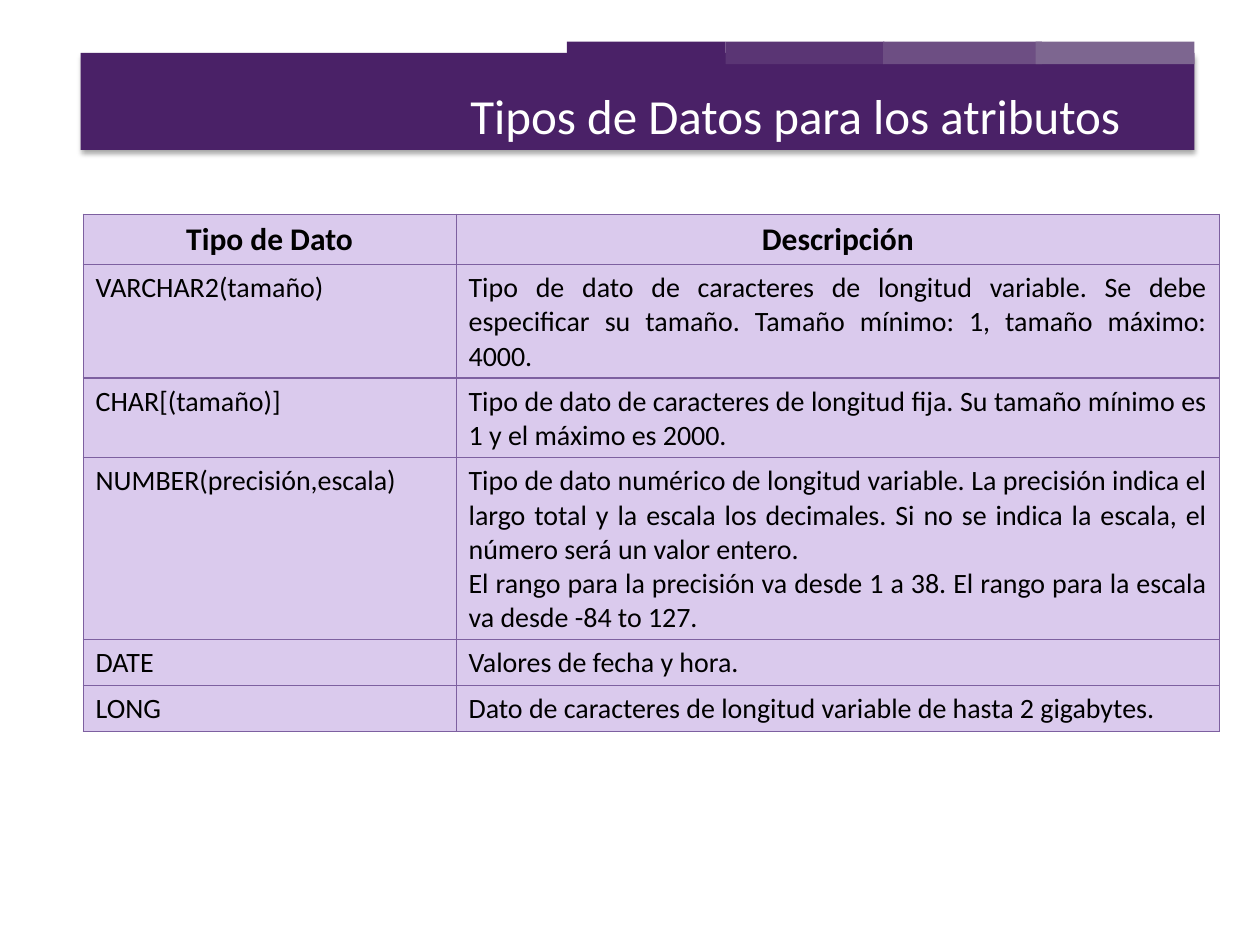
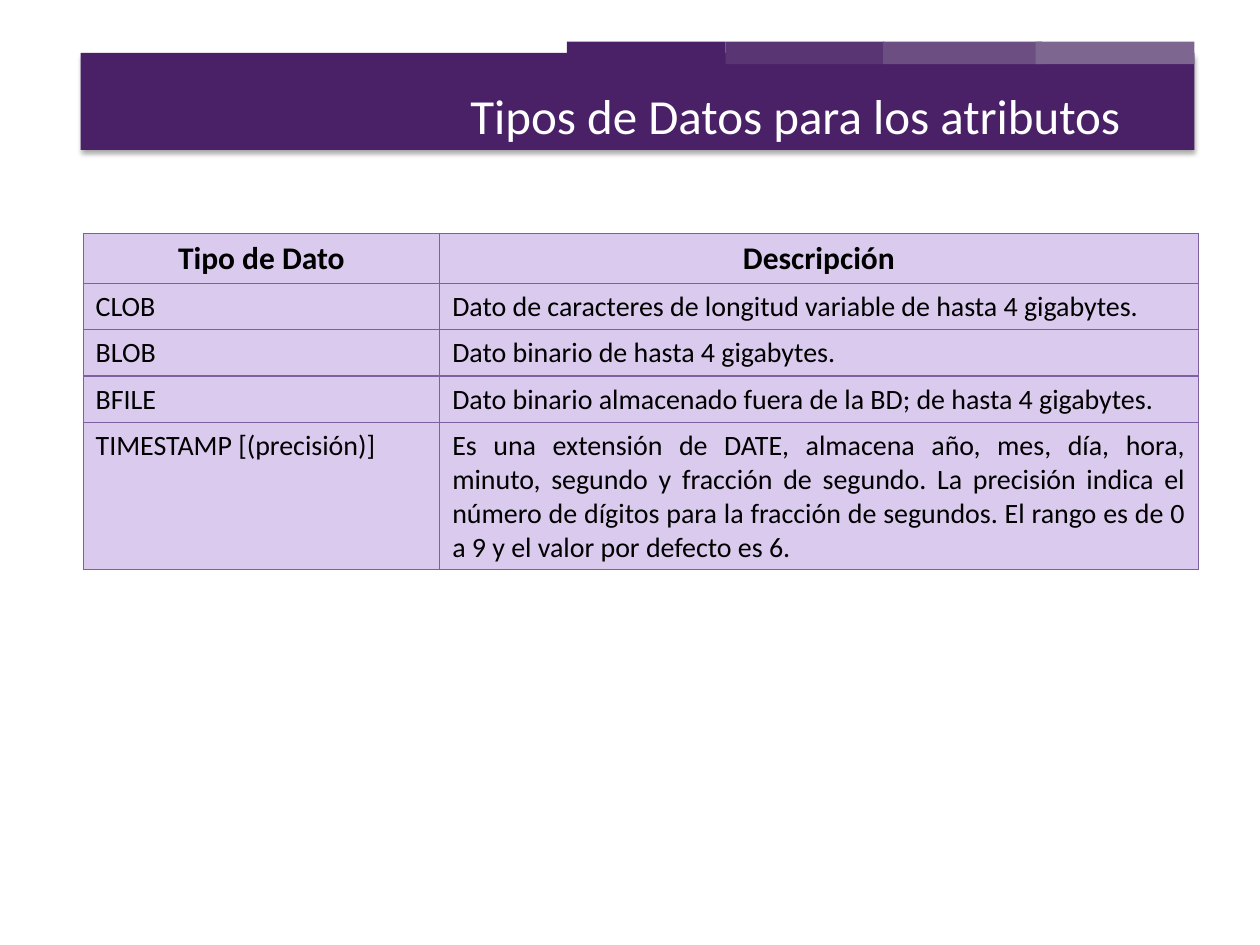
from lxml import etree
from pptx import Presentation
from pptx.dml.color import RGBColor
from pptx.enum.shapes import MSO_SHAPE
from pptx.enum.text import MSO_ANCHOR, MSO_AUTO_SIZE, PP_ALIGN
from pptx.oxml import parse_xml
from pptx.oxml.ns import nsdecls, qn
from pptx.util import Inches, Pt

RECT = MSO_SHAPE.RECTANGLE
LEFT, CENTER, RIGHT, JUSTIFY = PP_ALIGN.LEFT, PP_ALIGN.CENTER, PP_ALIGN.RIGHT, PP_ALIGN.JUSTIFY
TOP, MIDDLE = MSO_ANCHOR.TOP, MSO_ANCHOR.MIDDLE
GROW = MSO_AUTO_SIZE.SHAPE_TO_FIT_TEXT

# Content: each row holds type, description paragraphs, text lines
TITLE = "Tipos de Datos para los atributos"
HEADER = ("Tipo de Dato", "Descripción")
SLIDES = [
    {"at": (0.66, 1.7), "cols": (2.96, 6.06), "rows": [
        ("VARCHAR2(tamaño)", ["Tipo de dato de caracteres de longitud variable. Se debe "
         "especificar su tamaño. Tamaño mínimo: 1, tamaño máximo: 4000."], 3),
        ("CHAR[(tamaño)]", ["Tipo de dato de caracteres de longitud fija. Su tamaño mínimo es "
         "1 y el máximo es 2000."], 2),
        ("NUMBER(precisión,escala)", [
            "Tipo de dato numérico de longitud variable. La precisión indica el largo total y la "
            "escala los decimales. Si no se indica la escala, el número será un valor entero.",
            "El rango para la precisión va desde 1 a 38. El rango para la escala va desde "
            "-84 to 127."], 5),
        ("DATE", ["Valores de fecha y hora."], 1),
        ("LONG", ["Dato de caracteres de longitud variable de hasta 2 gigabytes."], 1),
    ]},
    {"at": (0.66, 1.85), "cols": (2.83, 6.02), "rows": [
        ("CLOB", ["Dato de caracteres de longitud variable de hasta 4 gigabytes."], 1),
        ("BLOB", ["Dato binario de hasta 4 gigabytes."], 1),
        ("BFILE", ["Dato binario almacenado fuera de la BD; de hasta 4 gigabytes."], 1),
        ("TIMESTAMP [(precisión)]", [
            "Es una extensión de DATE, almacena año, mes, día, hora, minuto, segundo y fracción "
            "de segundo. La precisión indica el número de dígitos para la fracción de segundos. "
            "El rango es de 0 a 9 y el valor por defecto es 6."], 4),
    ]},
]

# Shared look
COLORS = {"band": "4A2167", "cell": "DACAED", "border": "7D60A0", "text": "000000",
          "title": "FFFFFF", "shadow": "000000"}
TABS = [(4.5, "4A2167"), (5.76, "5A3574"), (7.01, "6D4E83"), (8.22, "7D6690")]
BAND_AT, TAB_TOP, TAB_SIZE = (0.64, 0.42, 8.84, 0.77), 0.33, (1.26, 0.18)
TITLE_AT = (3.39, 0.63, 5.6, 0.57)
HEADER_H, LINE_H, ROW_PAD = 0.4, 0.27, 0.09
TITLE_FONT = {"name": "Calibri", "size": Pt(28), "bold": False}
HEADER_FONT = {"name": "Calibri", "size": Pt(18), "bold": True}
BODY_FONT = {"name": "Calibri", "size": Pt(16), "bold": False}


def write(tf, paragraphs, font, color, align):
    for i, text in enumerate(paragraphs):
        p = tf.add_paragraph() if i else tf.paragraphs[0]
        p.alignment = align
        p.space_before = Pt(0)
        r = p.add_run()
        r.text = text
        for name, value in font.items():
            setattr(r.font, name, value)
        r.font.color.rgb = RGBColor.from_string(COLORS[color])


def add_bar(s, at, color):
    sp = s.shapes.add_shape(RECT, *map(Inches, at))
    sp.shadow.inherit = False
    sp.fill.solid()
    sp.fill.fore_color.rgb = RGBColor.from_string(color)
    sp.line.fill.background()
    return sp


def add_shadow(sp):
    effects = sp._element.spPr.find(qn("a:effectLst"))
    effects.append(parse_xml(
        f'<a:outerShdw {nsdecls("a")} blurRad="{Pt(3.1)}" dist="{Pt(1.8)}" dir="5400000" '
        f'algn="t" rotWithShape="0"><a:srgbClr val="{COLORS["shadow"]}">'
        '<a:alpha val="35000"/></a:srgbClr></a:outerShdw>'))


def add_title_band(s):
    add_shadow(add_bar(s, BAND_AT, COLORS["band"]))
    for left, color in TABS:
        add_bar(s, (left, TAB_TOP, *TAB_SIZE), color)
    title = s.shapes.title
    s.shapes._spTree.append(title._element)  # bring in front of the band
    title.left, title.top, title.width, title.height = map(Inches, TITLE_AT)
    tf = title.text_frame
    tf.word_wrap, tf.auto_size, tf.vertical_anchor = True, GROW, MIDDLE
    write(tf, [TITLE], TITLE_FONT, "title", RIGHT)


def set_borders(cell):
    tcPr = cell._tc.get_or_add_tcPr()
    for side in ("lnL", "lnR", "lnT", "lnB"):
        ln = etree.SubElement(tcPr, qn("a:" + side), w=str(Pt(0.75)))
        fill = etree.SubElement(ln, qn("a:solidFill"))
        etree.SubElement(fill, qn("a:srgbClr"), val=COLORS["border"])


def fill_cell(cell, paragraphs, font, align):
    set_borders(cell)
    cell.fill.solid()
    cell.fill.fore_color.rgb = RGBColor.from_string(COLORS["cell"])
    cell.vertical_anchor = TOP
    write(cell.text_frame, paragraphs, font, "text", align)


def add_type_table(s, at, cols, rows):
    heights = [HEADER_H] + [ROW_PAD + LINE_H * lines for *_, lines in rows]
    size = (sum(cols), sum(heights))
    table = s.shapes.add_table(len(heights), len(cols), *map(Inches, at + size)).table
    table.first_row = table.horz_banding = False
    for col, width in zip(table.columns, cols):
        col.width = Inches(width)
    for row, height in zip(table.rows, heights):
        row.height = Inches(height)
    for c, text in enumerate(HEADER):
        fill_cell(table.cell(0, c), [text], HEADER_FONT, CENTER)
    for r, (data_type, description, _) in enumerate(rows, 1):
        fill_cell(table.cell(r, 0), [data_type], BODY_FONT, LEFT)
        fill_cell(table.cell(r, 1), description, BODY_FONT, JUSTIFY)


def main():
    prs = Presentation()
    prs.slide_width, prs.slide_height = Inches(10), Inches(7.5)
    for content in SLIDES:
        s = prs.slides.add_slide(prs.slide_layouts[5])
        add_title_band(s)
        add_type_table(s, **content)
    prs.save("out.pptx")


if __name__ == "__main__":
    main()
